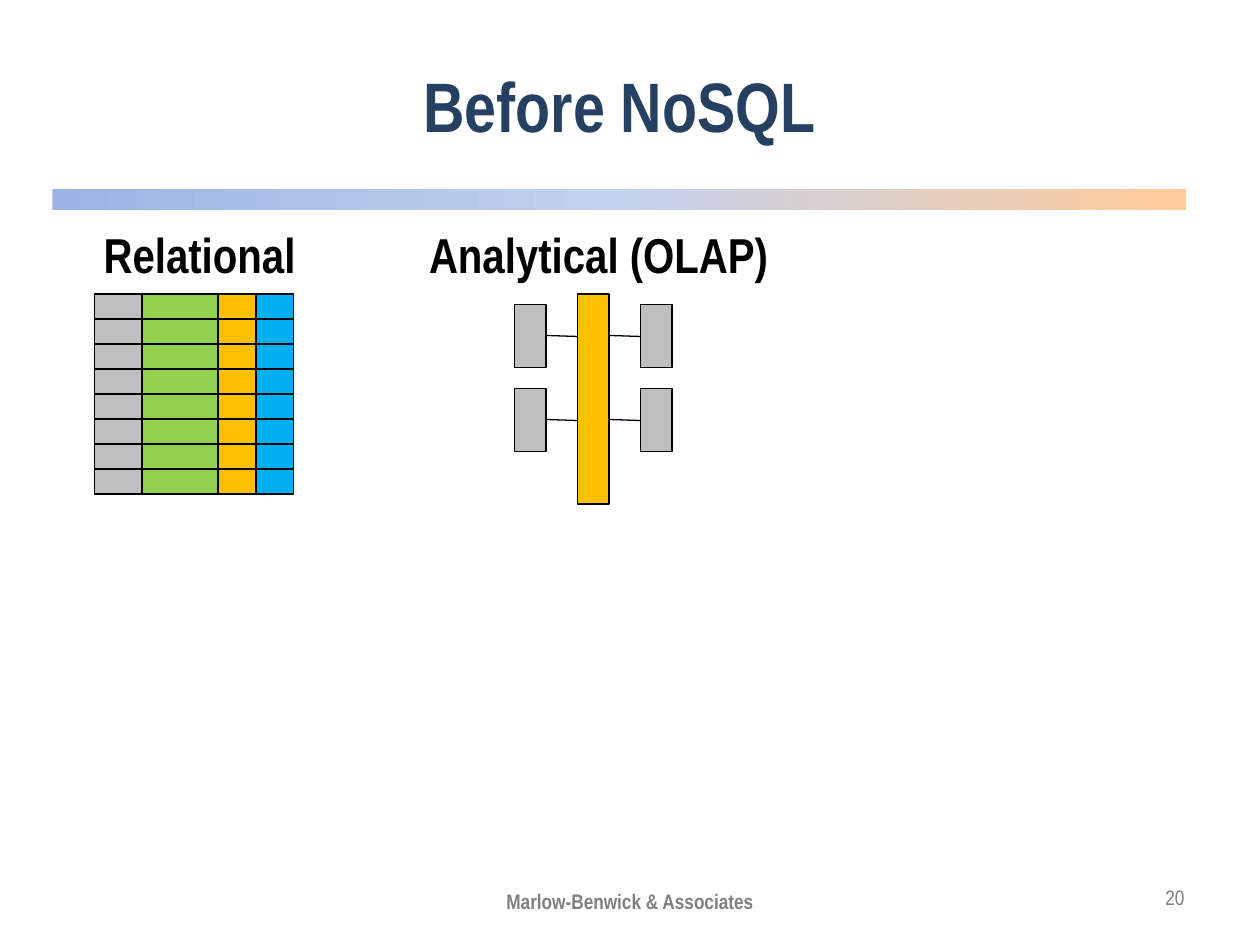
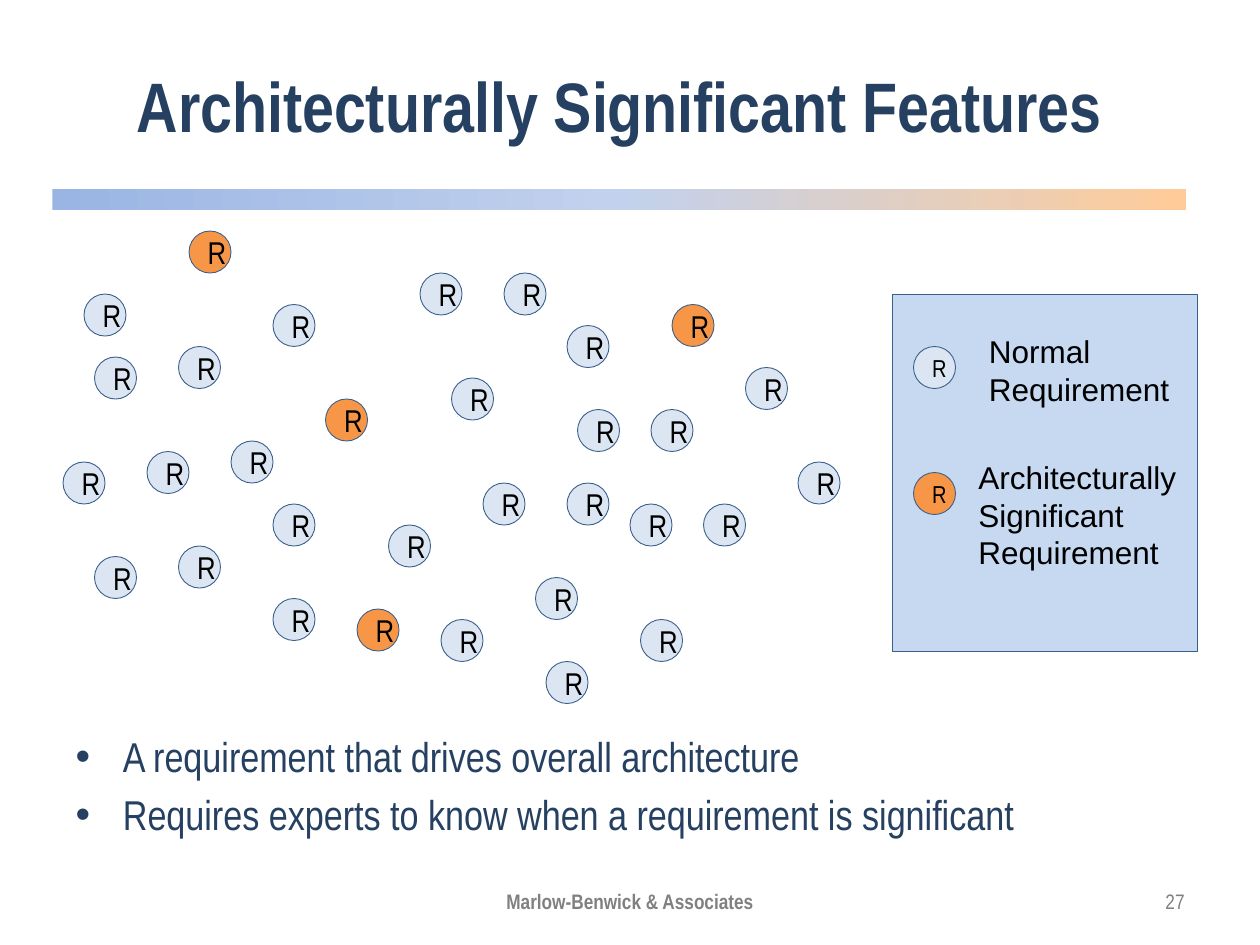
from copy import deepcopy
from dataclasses import dataclass
from itertools import accumulate

from pptx import Presentation
from pptx import util as u
from pptx.dml.color import RGBColor
from pptx.enum import shapes, text
from pptx.oxml import ns, xmlchemy

RECT = shapes.MSO_SHAPE.RECTANGLE
OVAL = shapes.MSO_SHAPE.OVAL
LEFT, CENTER, RIGHT = text.PP_ALIGN.LEFT, text.PP_ALIGN.CENTER, text.PP_ALIGN.RIGHT
MIDDLE, TOP = text.MSO_ANCHOR.MIDDLE, text.MSO_ANCHOR.TOP
TITLE_AND_BODY, TITLE_ONLY = 1, 5
FOOTER = "Marlow-Benwick & Associates"


@dataclass(frozen=True)
class Theme:
    navy: str = "254061"
    black: str = "000000"
    muted: str = "808080"
    gray: str = "BFBFBF"
    green: str = "92D050"
    gold: str = "FFC000"
    blue: str = "00B0F0"
    outline: str = "3A5F8C"
    panel: str = "C6D9F1"
    normal: str = "DCE6F2"
    significant: str = "F79646"
    band: tuple = ("9AB5E4", "C2D1ED", "FFCC99")
    narrow: str = "Arial Narrow"
    plain: str = "Arial"
    title_size: float = 40
    heading_size: float = 28
    body_size: float = 23.8
    label_size: float = 18
    key_size: float = 14
    footer_size: float = 12


THEME = Theme()


def grid(*steps):
    """Turn steps of the layout grid (twelve to the inch) into lengths."""
    return [u.Cm(step * 2.54 / 12) for step in steps]


def write(frame, content, size, color=THEME.black, font=THEME.narrow,
          bold=False, align=None, anchor=None, wrap=True):
    """Fill a text frame, one paragraph per line of content."""
    frame.word_wrap = wrap
    frame.auto_size = text.MSO_AUTO_SIZE.NONE
    if anchor is not None:
        frame.vertical_anchor = anchor
    for index, line in enumerate(content.split("\n")):
        para = frame.add_paragraph() if index else frame.paragraphs[0]
        para.alignment = align
        span = para.add_run()
        span.text = line
        span.font.name = font
        span.font.size = u.Pt(size)
        span.font.bold = bold
        span.font.color.rgb = RGBColor.from_string(color)


class SlideBuilder:
    def __init__(self, deck, theme):
        self.deck = deck
        self.theme = theme
        self.page = None

    def start(self, title, number, layout, number_area):
        """Add a slide with the title, band and footer that all slides share."""
        self.page = self.deck.slides.add_slide(self.deck.slide_layouts[layout])
        self.band()
        self.placeholder(self.page.shapes.title, (5, 2, 108, 16), title,
                         self.theme.title_size, bold=True, align=CENTER, anchor=MIDDLE)
        footer = dict(size=self.theme.footer_size, color=self.theme.muted)
        self.label(number_area, number, align=RIGHT, **footer)
        self.label((41, 83.4, 38, 4.8), FOOTER, bold=True, **footer)

    def placeholder(self, holder, area, content, size, **style):
        holder.left, holder.top, holder.width, holder.height = grid(*area)
        write(holder.text_frame, content, size, color=self.theme.navy, **style)

    def band(self):
        band = self.shape(RECT, (5, 18, 108, 2))
        band.fill.gradient()
        band.fill.gradient_angle = 0
        stops = band._element.spPr.find(ns.qn("a:gradFill")).find(ns.qn("a:gsLst"))
        stops.append(deepcopy(stops[0]))
        for index, (stop, color) in enumerate(zip(band.fill.gradient_stops, self.theme.band)):
            stop.position = index / 2
            stop.color.rgb = RGBColor.from_string(color)

    def shape(self, kind, area, fill=None, line=None, weight=1, parent=None):
        shape = (parent or self.page).shapes.add_shape(kind, *grid(*area))
        shape.shadow.inherit = False
        if fill:
            shape.fill.solid()
            shape.fill.fore_color.rgb = RGBColor.from_string(fill)
        if line:
            shape.line.color.rgb = RGBColor.from_string(line)
            shape.line.width = u.Pt(weight)
        else:
            shape.line.fill.background()
        return shape

    def block(self, area, fill, parent):
        self.shape(RECT, area, fill, self.theme.black, parent=parent)

    def requirement(self, x, y, fill, size):
        circle = self.shape(OVAL, (x, y, 4, 4), fill, self.theme.outline, 0.5)
        write(circle.text_frame, "R", size, align=CENTER, anchor=MIDDLE)

    def label(self, area, content, size, align=CENTER, anchor=MIDDLE, **style):
        box = self.page.shapes.add_textbox(*grid(*area))
        write(box.text_frame, content, size, align=align, anchor=anchor, **style)

    def line(self, start, end, parent):
        line = parent.shapes.add_connector(shapes.MSO_CONNECTOR.STRAIGHT, *grid(*start, *end))
        line.line.color.rgb = RGBColor.from_string(self.theme.black)
        line.line.width = u.Pt(0.75)
        line._element.spPr.append(xmlchemy.OxmlElement("a:effectLst"))

    def group(self):
        return self.page.shapes.add_group_shape()


def before_nosql(builder):
    theme = builder.theme
    builder.start("Before NoSQL", "20", TITLE_ONLY, (107, 83, 7, 4.8))

    builder.label((8, 21, 22, 6.4), "Relational", theme.heading_size, bold=True)
    relation = builder.group()
    widths = (4.56, 7.2, 3.6, 3.6)
    lefts = accumulate(widths, initial=9)
    colors = (theme.gray, theme.green, theme.gold, theme.blue)
    row_height = 2.38
    for left, width, color in zip(lefts, widths, colors):
        for row in range(8):
            builder.block((left, 28 + row * row_height, width, row_height), color, relation)

    builder.label((39, 21, 36, 6.4), "Analytical (OLAP)", theme.heading_size, bold=True)
    star = builder.group()
    builder.block((55, 28, 3, 20), theme.gold, star)
    for dimension_left, line_left in ((49, 52), (61, 58)):
        for top in (29, 37):
            builder.block((dimension_left, top, 3, 6), theme.gray, star)
            builder.line((line_left, top + 2.95), (line_left + 3, top + 3.05), star)


def significant_features(builder):
    theme = builder.theme
    builder.start("Architecturally Significant Features", "27", TITLE_AND_BODY,
                  (86, 83.4, 28, 4.8))
    builder.placeholder(builder.page.placeholders[1], (6, 69, 108, 10),
                        "A requirement that drives overall architecture\n"
                        "Requires experts to know when a requirement is significant",
                        theme.body_size)

    normal = [
        (67, 48), (71, 35), (76, 44), (62, 39), (22, 42), (26, 29), (17, 33),
        (43, 36), (48, 26), (54, 31), (40, 26), (42, 59), (46, 46), (51, 55),
        (37, 50), (26, 48), (6, 44), (17, 52), (8, 28), (54, 46), (60, 48),
        (55, 39), (61, 59), (52, 63), (14, 43), (9, 34), (26, 57), (9, 53),
    ]
    significant = [(31, 38), (64, 29), (18, 22), (34, 58)]
    for positions, color in ((normal, theme.normal), (significant, theme.significant)):
        for x, y in positions:
            builder.requirement(x, y, color, theme.label_size)

    builder.shape(RECT, (85, 28, 29, 34), theme.panel, theme.outline, 0.25)
    legend = [
        (33, theme.normal, (93, 31, 19.8, 8.5), "Normal\nRequirement"),
        (45, theme.significant, (92, 43, 21.5, 12.1),
         "Architecturally\nSignificant\nRequirement"),
    ]
    for top, color, area, meaning in legend:
        builder.requirement(87, top, color, theme.key_size)
        builder.label(area, meaning, theme.label_size, font=theme.plain,
                      align=LEFT, anchor=TOP, wrap=False)


def main():
    deck = Presentation()
    deck.slide_width, deck.slide_height = u.Cm(25.4), u.Cm(19.05)
    builder = SlideBuilder(deck, THEME)
    before_nosql(builder)
    significant_features(builder)
    deck.save("out.pptx")


if __name__ == "__main__":
    main()
